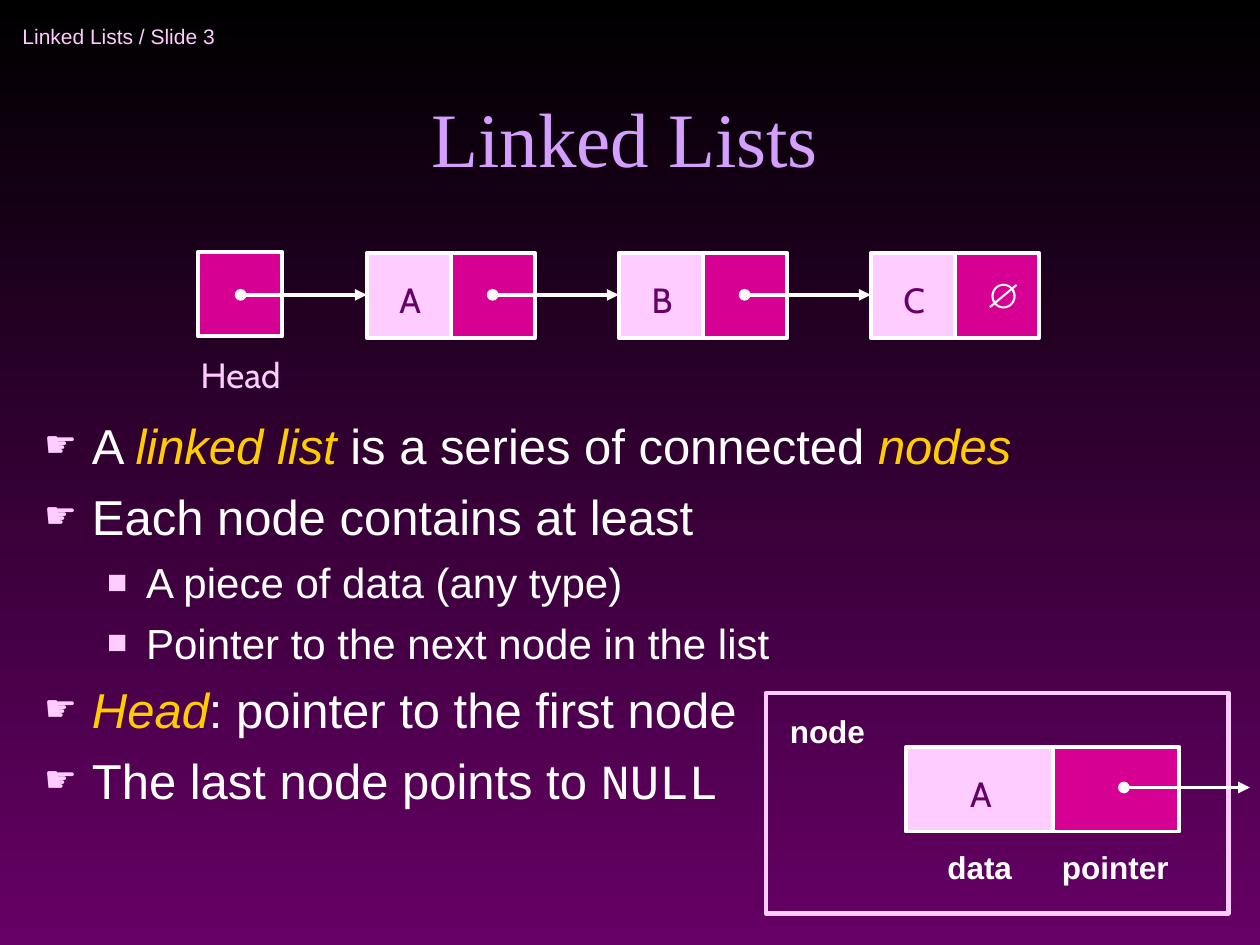
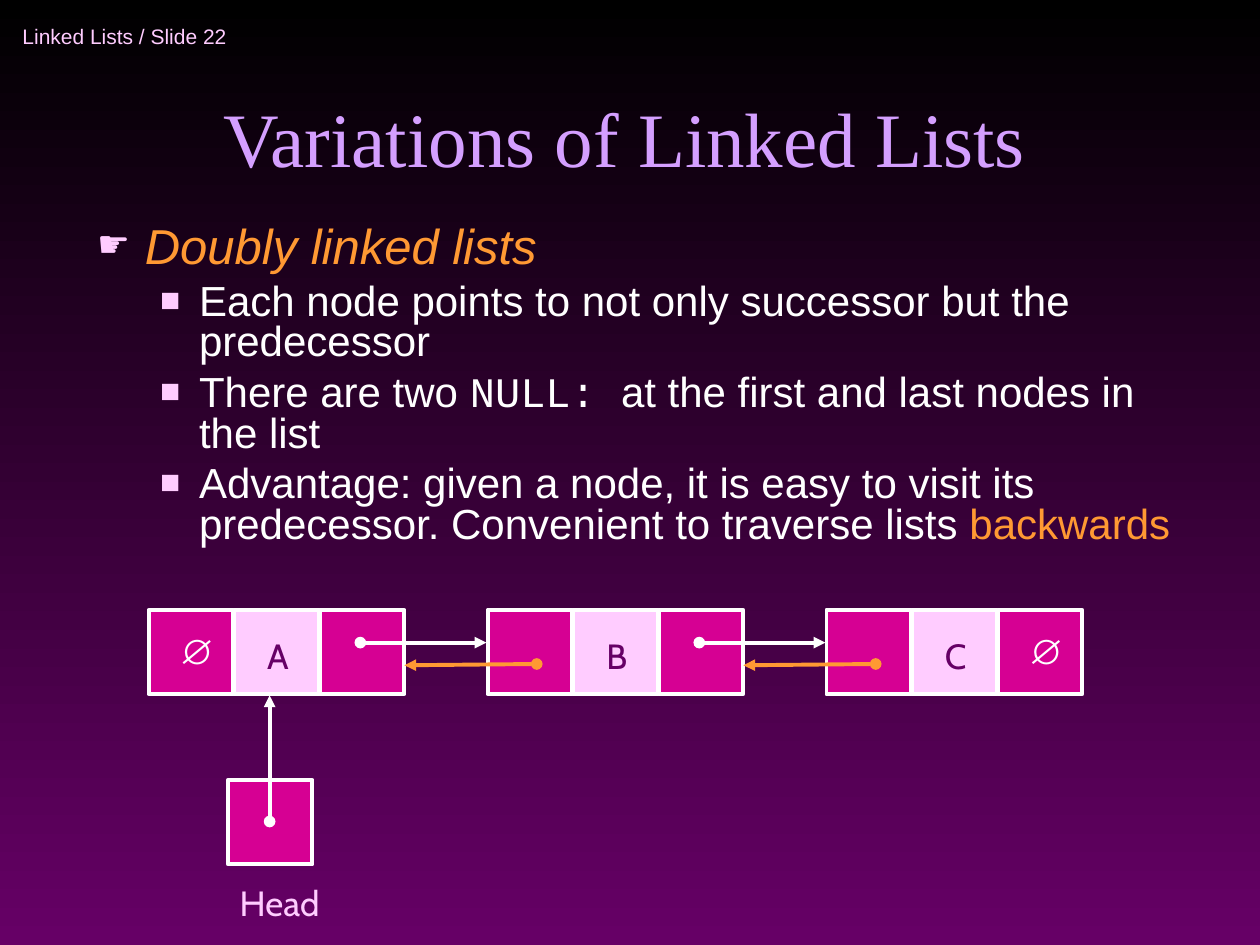
"""Two slides on linked lists, with node diagrams."""
from lxml import etree
from pptx import Presentation
from pptx.dml.color import RGBColor
from pptx.enum import shapes, text
from pptx.oxml.ns import qn
from pptx.util import Inches, Pt

BLACK = RGBColor(0x00, 0x00, 0x00)
WHITE = RGBColor(0xFF, 0xFF, 0xFF)
PLUM = RGBColor(0x66, 0x00, 0x66)
LILAC = RGBColor(0xD4, 0x9F, 0xFF)
PINK = RGBColor(0xFF, 0xCC, 0xFF)
ROSE = RGBColor(0xD6, 0x00, 0x93)
GOLD = RGBColor(0xFF, 0xCC, 0x00)
AMBER = RGBColor(0xFF, 0x99, 0x33)

SIDE = 0.67
NULL = "∅"
STYLES = {
    "plain": ("Arial", WHITE, False),
    "code": ("Courier New", WHITE, False),
    "term": ("Arial", GOLD, True),
    "topic": ("Arial", AMBER, True),
    "hint": ("Arial", AMBER, False),
}
LEVELS = [
    dict(size=28, left=0.38, hang=0.38, gap=7, char="☛", scale=75),
    dict(size=24, left=0.81, hang=0.31, gap=6, char="■", scale=80),
]

BASICS = dict(
    number=3, title="Linked Lists", box=(0.25, 3.25, 8.58, 3.33), pitch=None,
    items=[
        (0, [("A ", "plain"), ("linked list", "term"),
             (" is a series of connected ", "plain"), ("nodes", "term")]),
        (0, [("Each node contains at least", "plain")]),
        (1, [("A piece of data (any type)", "plain")]),
        (1, [("Pointer to the next node in the list", "plain")]),
        (0, [("Head", "term"), (": pointer to the first node", "plain")]),
        (0, [("The last node points to ", "plain"), ("NULL", "code")]),
    ])
DOUBLY = dict(
    number=22, title="Variations of Linked Lists", box=(0.67, 1.75, 8.92, 2.92), pitch=0.8,
    items=[
        (0, [("Doubly linked lists", "topic")]),
        (1, [("Each node points to not only successor but the predecessor", "plain")]),
        (1, [("There are two ", "plain"), ("NULL: ", "code"),
             ("at the first and last nodes in the list", "plain")]),
        (1, [("Advantage: given a node, it is easy to visit its predecessor. "
              "Convenient to traverse lists ", "plain"), ("backwards", "hint")]),
    ])
SINGLE = [["A", ""], ["B", ""], ["C", NULL]]
DOUBLE = [[NULL, "A", ""], ["", "B", ""], ["", "C", NULL]]
PARTS = [("node", 6.17, 5.6, 0.92), ("data", 7.42, 6.68, 0.75), ("pointer", 8.33, 6.68, 1.08)]


def place(shape, box):
    shape.left, shape.top, shape.width, shape.height = map(Inches, box)


def style(run, size, name, color, bold=False, italic=False):
    font = run.font
    font.size, font.name, font.bold, font.italic = Pt(size), name, bold, italic
    font.color.rgb = color


def label(slide, words, box, look, align=text.PP_ALIGN.LEFT, wrap=False):
    frame = slide.shapes.add_textbox(*map(Inches, box)).text_frame
    frame.text = words
    frame.word_wrap = wrap
    para = frame.paragraphs[0]
    para.alignment = align
    style(para.runs[0], *look)
    return frame


def mark(slide, words, mid, top, look, width=0.42):
    box = (mid - width / 2, top, width, 0.44)
    frame = label(slide, words, box, look, text.PP_ALIGN.CENTER)
    frame.auto_size = text.MSO_AUTO_SIZE.SHAPE_TO_FIT_TEXT


def rect(slide, box, fill, edge=WHITE, weight=2.25):
    shape = slide.shapes.add_shape(shapes.MSO_SHAPE.RECTANGLE, *map(Inches, box))
    shape.shadow.inherit = False
    if fill is None:
        shape.fill.background()
    else:
        shape.fill.solid()
        shape.fill.fore_color.rgb = fill
    shape.line.color.rgb = edge
    shape.line.width = Pt(weight)


def cell(slide, x, y, sign="", width=SIDE):
    data = sign not in ("", NULL)
    rect(slide, (x, y, width, SIDE), PINK if data else ROSE)
    mid = x + width / 2
    if data:
        mark(slide, sign, mid + 0.01, y + 0.15, (20, "Cabin", PLUM))
    elif sign:
        mark(slide, sign, mid + 0.02, y + 0.11, (20, "Arial", WHITE, True))


def head(slide, x, y, mid):
    cell(slide, x, y)
    mark(slide, "Head", mid, y + 0.76, (20, "Cabin", PINK), 1)


def chain(slide, nodes, x, y, pitch, step):
    for i, node in enumerate(nodes):
        for j, sign in enumerate(node):
            cell(slide, x + i * pitch + j * step, y, sign)


def arrow(slide, x, y, dx=1, dy=0, color=WHITE):
    ends = map(Inches, (x, y, x + dx, y + dy))
    link = slide.shapes.add_connector(shapes.MSO_CONNECTOR.STRAIGHT, *ends)
    link.line.color.rgb = color
    link.line.width = Pt(2.25)
    line = link.line._get_or_add_ln()
    for tag, kind in (("a:headEnd", "oval"), ("a:tailEnd", "triangle")):
        etree.SubElement(line, qn(tag), type=kind)
    etree.SubElement(link._element.spPr, qn("a:effectLst"))


def bullet(para, level):
    prop = para._p.get_or_add_pPr()
    prop.set("marL", str(Inches(level["left"])))
    prop.set("indent", str(-Inches(level["hang"])))
    color = etree.SubElement(prop, qn("a:buClr"))
    etree.SubElement(color, qn("a:srgbClr"), val=str(PINK))
    etree.SubElement(prop, qn("a:buSzPct"), val=str(level["scale"] * 1000))
    etree.SubElement(prop, qn("a:buFont"), typeface="Arial")
    etree.SubElement(prop, qn("a:buChar"), char=level["char"])


def fill_list(body, items, pitch):
    frame = body.text_frame
    frame.auto_size = text.MSO_AUTO_SIZE.NONE
    for i, (depth, runs) in enumerate(items):
        para = frame.add_paragraph() if i else frame.paragraphs[0]
        level = LEVELS[depth]
        para.level = depth
        para.space_before = Pt(level["gap"])
        para.line_spacing = pitch
        bullet(para, level)
        for words, key in runs:
            run = para.add_run()
            run.text = words
            name, color, italic = STYLES[key]
            style(run, level["size"], name, color, italic=italic)


def start(deck, page):
    slide = deck.slides.add_slide(deck.slide_layouts[1])
    title, body = slide.placeholders
    place(title, (0.67, 0.25, 8.58, 1.25))
    frame = title.text_frame
    frame.text = page["title"]
    frame.auto_size = text.MSO_AUTO_SIZE.NONE
    frame.vertical_anchor = text.MSO_ANCHOR.BOTTOM
    frame.paragraphs[0].alignment = text.PP_ALIGN.CENTER
    style(frame.paragraphs[0].runs[0], 44, "Times New Roman", LILAC)
    place(body, page["box"])
    fill_list(body, page["items"], page["pitch"])
    tag = label(slide, f"Linked Lists / Slide {page['number']}",
                (0.08, 0.08, 2.75, 0.42), (12, "Arial", PINK))
    tag.vertical_anchor = text.MSO_ANCHOR.MIDDLE
    return slide


def basics(deck):
    slide = start(deck, BASICS)
    head(slide, 1.57, 2, 1.91)
    chain(slide, SINGLE, 2.91, 2.01, 2, SIDE)
    for i in range(3):
        arrow(slide, 1.91 + 2 * i, 2.34)
    cell(slide, 8.36, 5.93, width=1)
    cell(slide, 7.19, 5.93, "A", 1.17)
    rect(slide, (6.08, 5.5, 3.67, 1.75), None, PINK, 2.5)
    for words, x, y, width in PARTS:
        label(slide, words, (x, y, width, 0.4), (18, "Arial", WHITE, True), wrap=True)
    arrow(slide, 8.92, 6.25)


def doubly(deck):
    slide = start(deck, DOUBLY)
    x, y, pitch = 1.18, 4.84, 2.69
    chain(slide, DOUBLE, x, y, pitch, 0.68)
    head(slide, 1.81, 6.19, 2.22)
    arrow(slide, 2.14, 6.52, 0, -1)
    for i in range(2):
        left = x + i * pitch
        arrow(slide, left + 1.68, 5.1)
        arrow(slide, left + pitch + 0.39, 5.27, -1.05, 0.01, AMBER)


def main():
    deck = Presentation()
    deck.slide_width, deck.slide_height = Inches(10), Inches(7.5)
    fill = deck.slide_master.background.fill
    fill.gradient()
    fill.gradient_angle = 270
    for stop, color in zip(fill.gradient_stops, (BLACK, PLUM)):
        stop.color.rgb = color
    basics(deck)
    doubly(deck)
    deck.save("out.pptx")


if __name__ == "__main__":
    main()
